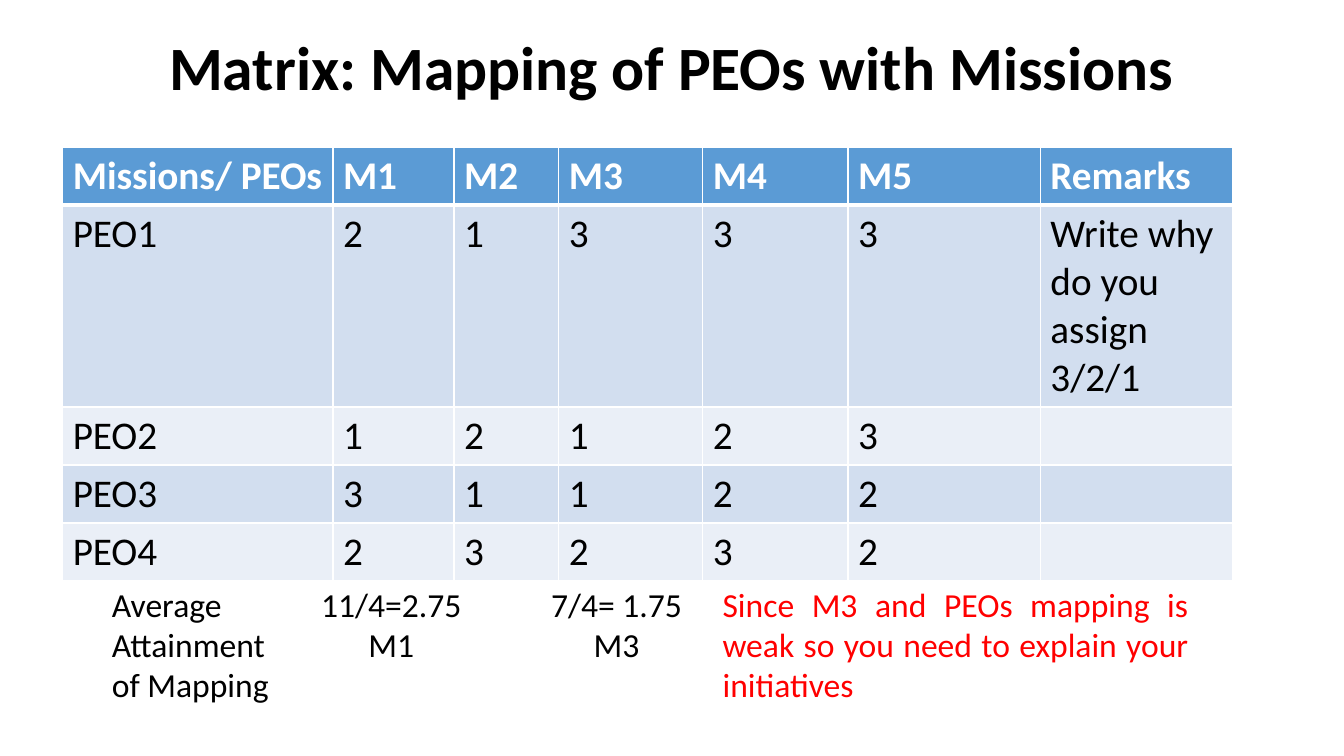
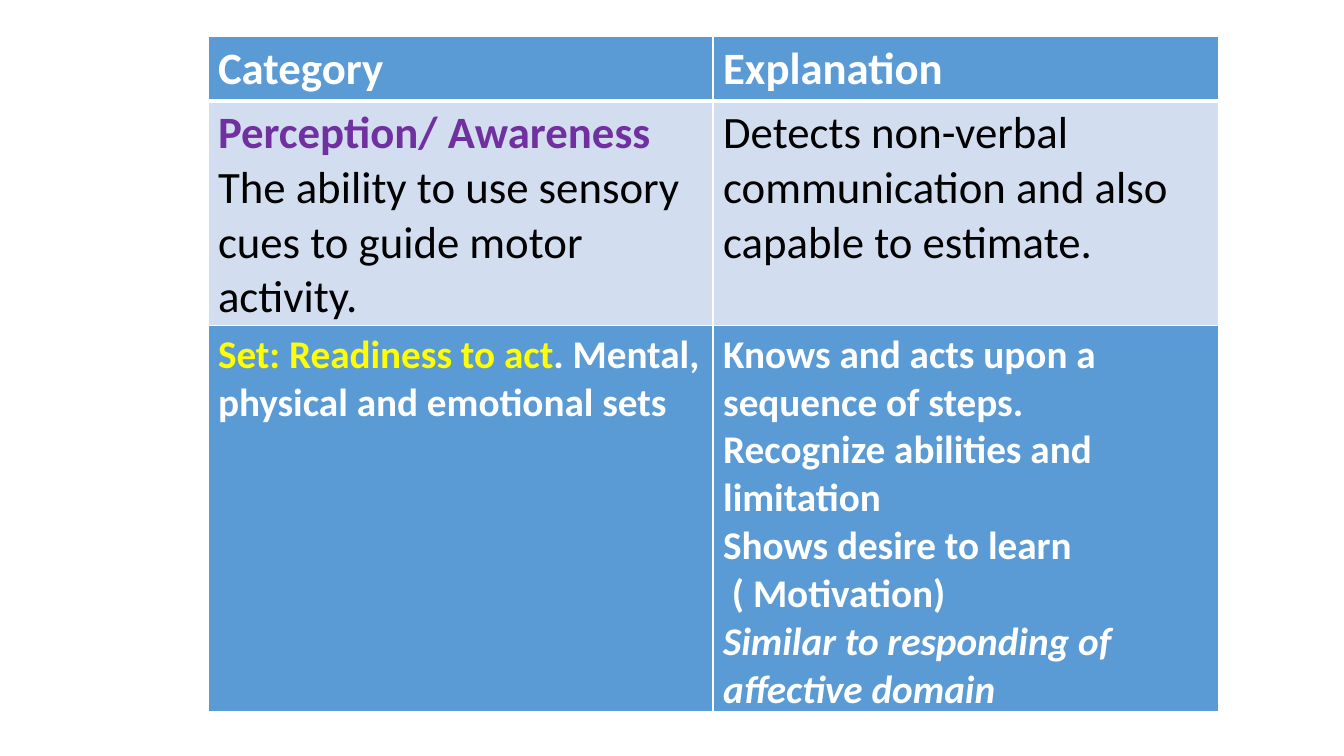
from pptx import Presentation
from pptx.dml.color import RGBColor
from pptx.enum.text import MSO_ANCHOR, MSO_AUTO_SIZE, PP_ALIGN
from pptx.oxml import parse_xml
from pptx.oxml.ns import nsdecls
from pptx.util import Cm, Pt

COLORS = {
    "ink": "000000",
    "white": "FFFFFF",
    "header": "5B9BD5",
    "band_dark": "D2DEEF",
    "band_light": "EAEFF7",
    "alert": "FF0000",
    "purple": "7030A0",
    "yellow": "FFFF00",
}


class Deck:
    """Holds the shared style and the current slide."""

    font = "Calibri"
    thin, thick = 1, 3

    def __init__(self):
        self.presentation = Presentation()
        self.presentation.slide_width = Cm(33.87)
        self.presentation.slide_height = Cm(19.05)
        self.slide = None

    def new_slide(self):
        layout = self.presentation.slide_layouts[6]
        self.slide = self.presentation.slides.add_slide(layout)

    def fill_text(self, frame, paragraphs, size, color="ink", bold=False, align=PP_ALIGN.LEFT):
        for index, content in enumerate(paragraphs):
            paragraph = frame.add_paragraph() if index else frame.paragraphs[0]
            paragraph.alignment = align
            pieces = [(content, {})] if isinstance(content, str) else content
            for text, style in pieces:
                run = paragraph.add_run()
                run.text = text
                font = run.font
                font.name = self.font
                font.size = Pt(size)
                font.bold = style.get("bold", bold)
                font.italic = style.get("italic", False)
                font.color.rgb = RGBColor.from_string(COLORS[style.get("color", color)])

    def text(self, left, top, width, height, paragraphs, size=24, **style):
        box = self.slide.shapes.add_textbox(Cm(left), Cm(top), Cm(width), Cm(height))
        frame = box.text_frame
        frame.word_wrap = True
        frame.auto_size = MSO_AUTO_SIZE.SHAPE_TO_FIT_TEXT
        self.fill_text(frame, paragraphs, size, **style)
        return frame

    def title(self, text):
        frame = self.text(2.33, 0.66, 29.21, 2.26, [text], 44, bold=True, align=PP_ALIGN.CENTER)
        frame.auto_size = MSO_AUTO_SIZE.NONE
        frame.vertical_anchor = MSO_ANCHOR.MIDDLE
        frame.paragraphs[0].line_spacing = 0.9

    def borders(self, cell, top, bottom):
        properties = cell._tc.get_or_add_tcPr()
        for side, points in (("L", self.thin), ("R", self.thin), ("T", top), ("B", bottom)):
            properties.append(parse_xml(
                f'<a:ln{side} {nsdecls("a")} w="{Pt(points)}"><a:solidFill>'
                f'<a:srgbClr val="{COLORS["white"]}"/></a:solidFill></a:ln{side}>'
            ))

    def table(self, left, top, widths, heights, rows, size):
        table = self.slide.shapes.add_table(
            len(rows), len(widths), Cm(left), Cm(top), Cm(sum(widths)), Cm(sum(heights))
        ).table
        for column, width in zip(table.columns, widths):
            column.width = Cm(width)
        for index, (values, height) in enumerate(zip(rows, heights)):
            table.rows[index].height = Cm(height)
            is_header = index == 0
            band = "header" if is_header else "band_dark" if index % 2 else "band_light"
            for cell, value in zip(table.rows[index].cells, values):
                self.borders(
                    cell,
                    self.thick if index == 1 else self.thin,
                    self.thick if is_header else self.thin,
                )
                cell.fill.solid()
                cell.fill.fore_color.rgb = RGBColor.from_string(COLORS[band])
                if value:
                    paragraphs = [value] if isinstance(value, str) else value
                    color = "white" if is_header else "ink"
                    self.fill_text(cell.text_frame, paragraphs, size, color, bold=is_header)


def build_mission_matrix(deck):
    deck.new_slide()
    deck.title("Matrix: Mapping of PEOs with Missions")
    scores = [(2, 1, 3, 3, 3), (1, 2, 1, 2, 3), (3, 1, 1, 2, 2), (2, 3, 2, 3, 2)]
    remarks = ["Write why do you assign 3/2/1", "", "", ""]
    rows = [["Missions/ PEOs", *(f"M{n}" for n in range(1, 6)), "Remarks"]]
    for number, (marks, remark) in enumerate(zip(scores, remarks), start=1):
        rows.append([f"PEO{number}", *map(str, marks), remark])
    widths = [6.81, 3.05, 2.64, 3.63, 3.66, 4.85, 4.85]
    deck.table(1.58, 3.71, widths, [1.46, 5.06, 1.46, 1.46, 1.46], rows, 28)

    notes_top = 14.58
    deck.text(2.57, notes_top, 5.16, 3.33, ["Average Attainment of Mapping"])
    averages = [(7.75, 4.22, "11/4=2.75", "M1"), (13.56, 3.96, "7/4= 1.75", "M3")]
    for left, width, average, mission in averages:
        deck.text(left, notes_top, width, 2.31, [average, mission], align=PP_ALIGN.CENTER)
    deck.text(
        17.96, notes_top, 12.24, 3.33,
        ["Since M3 and PEOs mapping is weak so you need to explain your initiatives"],
        color="alert", align=PP_ALIGN.JUSTIFY,
    )


def build_category_slide(deck):
    deck.new_slide()
    left, widths = 5.24, [12.73, 12.73]
    perception = [
        [("Perception/ Awareness", {"color": "purple", "bold": True})],
        "The ability to use sensory cues to guide motor activity.",
    ]
    detection = "Detects non-verbal communication and also capable to estimate."
    rows = [["Category", "Explanation"], [perception, detection]]
    deck.table(left, 0.92, widths, [1.62, 5.67], rows, 32)

    readiness = [[
        ("Set: Readiness to act", {"color": "yellow"}),
        (". Mental, physical and emotional sets", {}),
    ]]
    actions = [
        "Knows and acts upon a sequence of steps.",
        "Recognize abilities and limitation",
        "Shows desire to learn",
        " ( Motivation)",
        [("Similar to responding of affective domain", {"italic": True})],
    ]
    deck.table(left, 8.21, widths, [9.73], [[readiness, actions]], 28)


def main():
    deck = Deck()
    build_mission_matrix(deck)
    build_category_slide(deck)
    deck.presentation.save("out.pptx")


if __name__ == "__main__":
    main()
